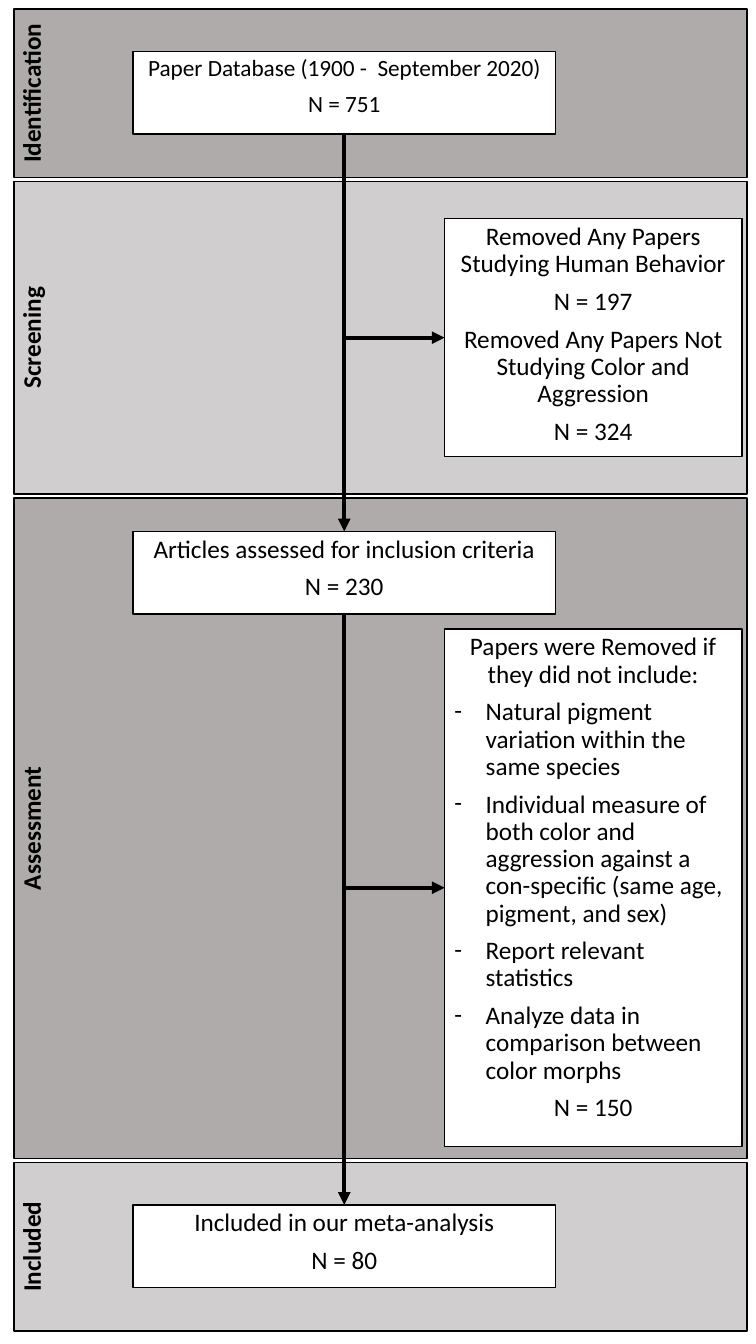
import pptx
import pptx.dml.color
import pptx.enum.shapes
import pptx.enum.text
import pptx.oxml
import pptx.oxml.ns
import pptx.util
from pptx.util import Inches

COLOURS = {"dark": "AFABAB", "light": "D0CECE", "box": "FFFFFF", "ink": "000000"}
FONT = "Calibri"

BAND_LEFT, BAND_TOP, BAND_WIDTH, BAND_GAP = 0.14, 0.09, 7.27, 0.04
LABEL_DEPTH = 0.82
STAGES = [
    ("Identification", 1.67, "dark"),
    ("Screening", 3.1, "light"),
    ("Assessment", 6.55, "dark"),
    ("Included", 1.67, "light"),
]

STEP_LEFT, STEP_WIDTH, STEP_HEIGHT = 1.32, 4.19, 0.82
STEPS = [
    (0.51, 16.6, ["Paper Database (1900 -  September 2020)", "N = 751"]),
    (5.27, 18, ["Articles assessed for inclusion criteria", "N = 230"]),
    (11.95, 18, ["Included in our meta-analysis", "N = 80"]),
]

REMOVAL_LEFT, REMOVAL_WIDTH = 4.41, 2.95
DASH = "- "
REMOVALS = [
    (2.17, 2.36, [
        "Removed Any Papers Studying Human Behavior",
        "N = 197",
        "Removed Any Papers Not Studying Color and Aggression",
        "N = 324",
    ]),
    (6.24, 5.13, [
        "Papers were Removed if they did not include:",
        DASH + "Natural pigment variation within the same species",
        DASH + "Individual measure of both color and aggression against a "
               "con-specific (same age, pigment, and sex)",
        DASH + "Report relevant statistics",
        DASH + "Analyze data in comparison between color morphs",
        "N = 150",
    ]),
]


def rgb(name):
    """Return the named colour."""
    return pptx.dml.color.RGBColor.from_string(COLOURS[name])


def add_xml(parent, xml):
    """Append a drawing element, given without its namespace, to parent."""
    tag, rest = xml.split(" ", 1)
    namespace = pptx.oxml.ns.nsdecls("a")
    parent.append(pptx.oxml.parse_xml(f"{tag} {namespace} {rest}"))


def add_dash(paragraph):
    """Give a paragraph a hanging dash bullet."""
    properties = paragraph._p.get_or_add_pPr()
    indent = Inches(0.31)
    properties.set("marL", str(indent))
    properties.set("indent", str(-indent))
    add_xml(properties, '<a:buFont typeface="Calibri"/>')
    add_xml(properties, '<a:buChar char="-"/>')


def write_lines(shape, lines, size=18, bold=False):
    """Write centred paragraphs, with dashed ones set left as a list."""
    frame = shape.text_frame
    frame.word_wrap = True
    frame.vertical_anchor = pptx.enum.text.MSO_ANCHOR.TOP
    for number, line in enumerate(lines):
        paragraph = frame.add_paragraph() if number else frame.paragraphs[0]
        dashed = line.startswith(DASH)
        paragraph.text = line.removeprefix(DASH)
        align = pptx.enum.text.PP_ALIGN
        paragraph.alignment = align.LEFT if dashed else align.CENTER
        paragraph.line_spacing = 0.9
        paragraph.space_before = pptx.util.Pt(7.5)
        paragraph.font.name = FONT
        paragraph.font.size = pptx.util.Pt(size)
        paragraph.font.bold = bold
        paragraph.font.color.rgb = rgb("ink")
        if dashed:
            add_dash(paragraph)


def add_box(slide, left, top, width, height, fill):
    """Add a thinly outlined rectangle."""
    box = slide.shapes.add_shape(
        pptx.enum.shapes.MSO_SHAPE.RECTANGLE,
        Inches(left), Inches(top), Inches(width), Inches(height))
    box.shadow.inherit = False
    box.fill.solid()
    box.fill.fore_color.rgb = rgb(fill)
    box.line.color.rgb = rgb("ink")
    box.line.width = pptx.util.Pt(1)
    return box


def add_stage(slide, top, name, height, fill):
    """Add a stage band with its name running up the left edge."""
    add_box(slide, BAND_LEFT, top, BAND_WIDTH, height, fill)
    label = slide.shapes.add_textbox(
        Inches(BAND_LEFT + (LABEL_DEPTH - height) / 2),
        Inches(top + (height - LABEL_DEPTH) / 2),
        Inches(height), Inches(LABEL_DEPTH))
    label.rotation = 270
    write_lines(label, [name], bold=True)


def add_arrow(slide, x1, y1, x2, y2):
    """Add a thick straight arrow."""
    arrow = slide.shapes.add_connector(
        pptx.enum.shapes.MSO_CONNECTOR.STRAIGHT,
        Inches(x1), Inches(y1), Inches(x2), Inches(y2))
    arrow.line.color.rgb = rgb("ink")
    arrow.line.width = pptx.util.Pt(3)
    add_xml(arrow.line._get_or_add_ln(), '<a:tailEnd type="triangle"/>')
    add_xml(arrow._element.spPr, '<a:effectLst />')


def main():
    """Build the study selection flow chart."""
    deck = pptx.Presentation()
    deck.slide_width, deck.slide_height = Inches(7.5), Inches(13.33)
    slide = deck.slides.add_slide(deck.slide_layouts[6])

    top = BAND_TOP
    for name, height, fill in STAGES:
        add_stage(slide, top, name, height, fill)
        top += height + BAND_GAP

    for top, size, lines in STEPS:
        step = add_box(slide, STEP_LEFT, top, STEP_WIDTH, STEP_HEIGHT, "box")
        write_lines(step, lines, size)

    trunk = STEP_LEFT + STEP_WIDTH / 2
    for (start, *_), (end, *_) in zip(STEPS, STEPS[1:]):
        add_arrow(slide, trunk, start + STEP_HEIGHT, trunk, end)

    for top, height, lines in REMOVALS:
        removal = add_box(slide, REMOVAL_LEFT, top, REMOVAL_WIDTH, height, "box")
        write_lines(removal, lines)
        middle = top + height / 2
        add_arrow(slide, trunk, middle, REMOVAL_LEFT, middle)

    deck.save("out.pptx")


main()
